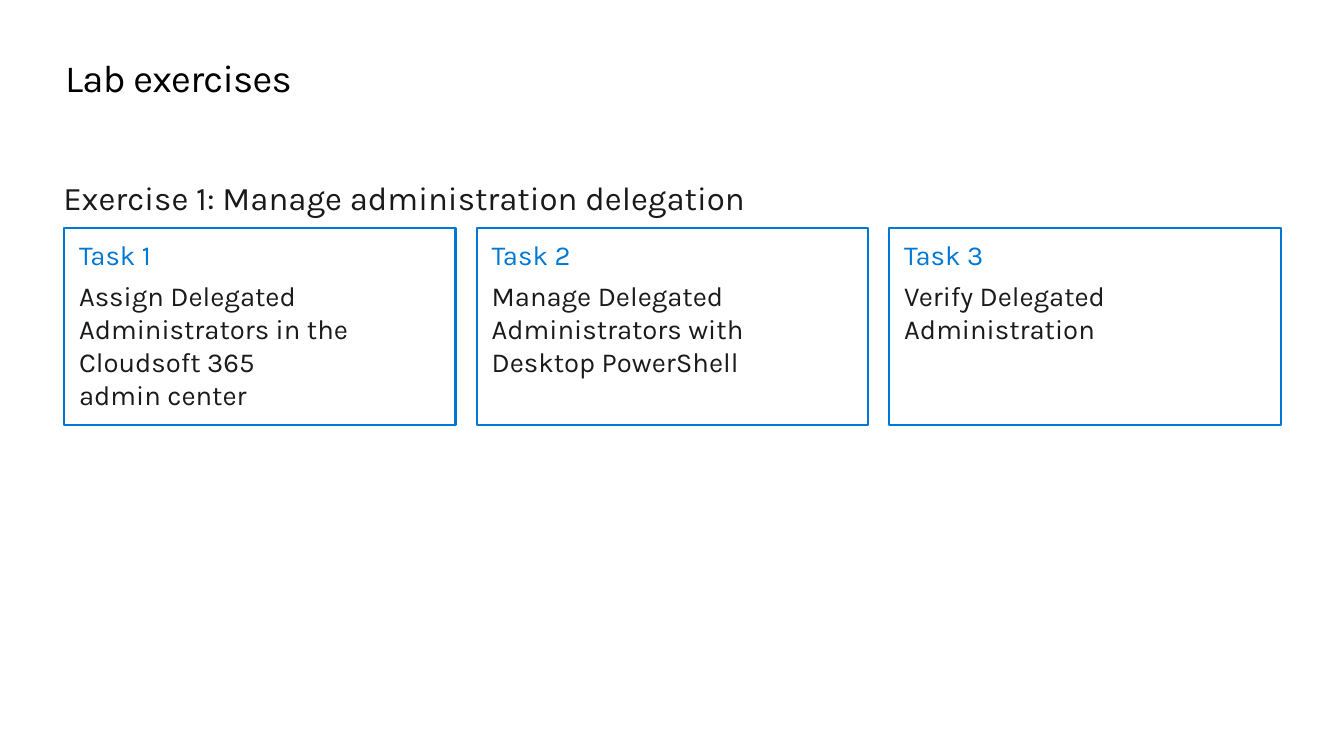
import pptx
import pptx.dml.color
import pptx.enum.shapes
import pptx.enum.text
import pptx.util

Pt = pptx.util.Pt
COLORS = {"title": "000000", "text": "1A1A1A", "accent": "0078D4"}
ANCHOR = pptx.enum.text.MSO_ANCHOR


def rgb(name):
    return pptx.dml.color.RGBColor.from_string(COLORS[name])


def write(p, text, size=20, color="text", font="Karla", after=0, spacing=None):
    """Fill a paragraph; a newline in the text becomes a line break."""
    p.text = text
    p.alignment = pptx.enum.text.PP_ALIGN.LEFT
    p.space_after = Pt(after)
    for r in p.runs:
        r.font.name = font
        r.font.size = Pt(size)
        r.font.color.rgb = rgb(color)
        if spacing is not None:
            r._r.get_or_add_rPr().set("spc", str(round(spacing * 100)))


class Deck:
    def __init__(self, width, height):
        self.prs = pptx.Presentation()
        self.prs.slide_width, self.prs.slide_height = Pt(width), Pt(height)
        self.s = self.prs.slides.add_slide(self.prs.slide_layouts[6])

    def frame(self, sp, anchor, inset_x=0, inset_y=0):
        tf = sp.text_frame
        tf.word_wrap = True
        tf.vertical_anchor = anchor
        tf.margin_left = tf.margin_right = Pt(inset_x)
        tf.margin_top = tf.margin_bottom = Pt(inset_y)
        return tf

    def label(self, box, text, anchor=ANCHOR.TOP, **fmt):
        sp = self.s.shapes.add_textbox(*map(Pt, box))
        tf = self.frame(sp, anchor)
        tf.auto_size = pptx.enum.text.MSO_AUTO_SIZE.SHAPE_TO_FIT_TEXT
        write(tf.paragraphs[0], text, **fmt)

    def card(self, box, heading, body):
        sp = self.s.shapes.add_shape(
            pptx.enum.shapes.MSO_SHAPE.RECTANGLE, *map(Pt, box))
        sp.shadow.inherit = False
        sp.fill.background()
        sp.line.color.rgb = rgb("accent")
        sp.line.width = Pt(1.5)
        tf = self.frame(sp, ANCHOR.TOP, 10.8, 7.2)
        write(tf.paragraphs[0], heading, color="accent", after=6)
        write(tf.add_paragraph(), body, after=12)


def main():
    deck = Deck(979.2, 550.8)

    # Title and exercise heading
    deck.label((47.5, 39.6, 885, 34.6), "Lab exercises",
               size=28, color="title", spacing=-0.5)
    deck.label((46.1, 129.6, 530, 28.8),
               "Exercise 1: Manage administration delegation",
               anchor=ANCHOR.MIDDLE, size=24)

    # Task cards
    tasks = [
        "Assign Delegated Administrators in the Cloudsoft 365\nadmin center",
        "Manage Delegated Administrators with\nDesktop PowerShell",
        "Verify Delegated Administration",
    ]
    left, pitch = 46.8, 300.6
    for i, task in enumerate(tasks):
        deck.card((left + i * pitch, 166.3, 285.1, 143.3), f"Task {i + 1}", task)

    deck.prs.save("out.pptx")


if __name__ == "__main__":
    main()
